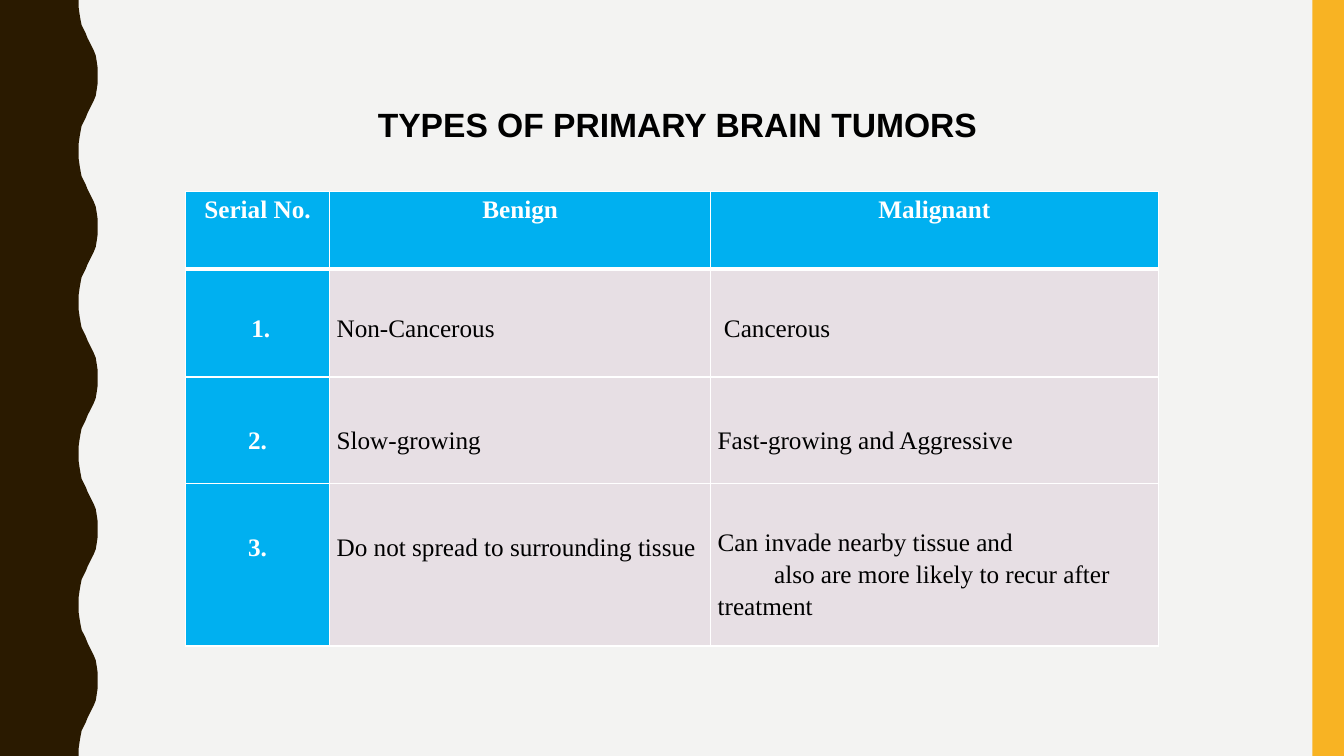
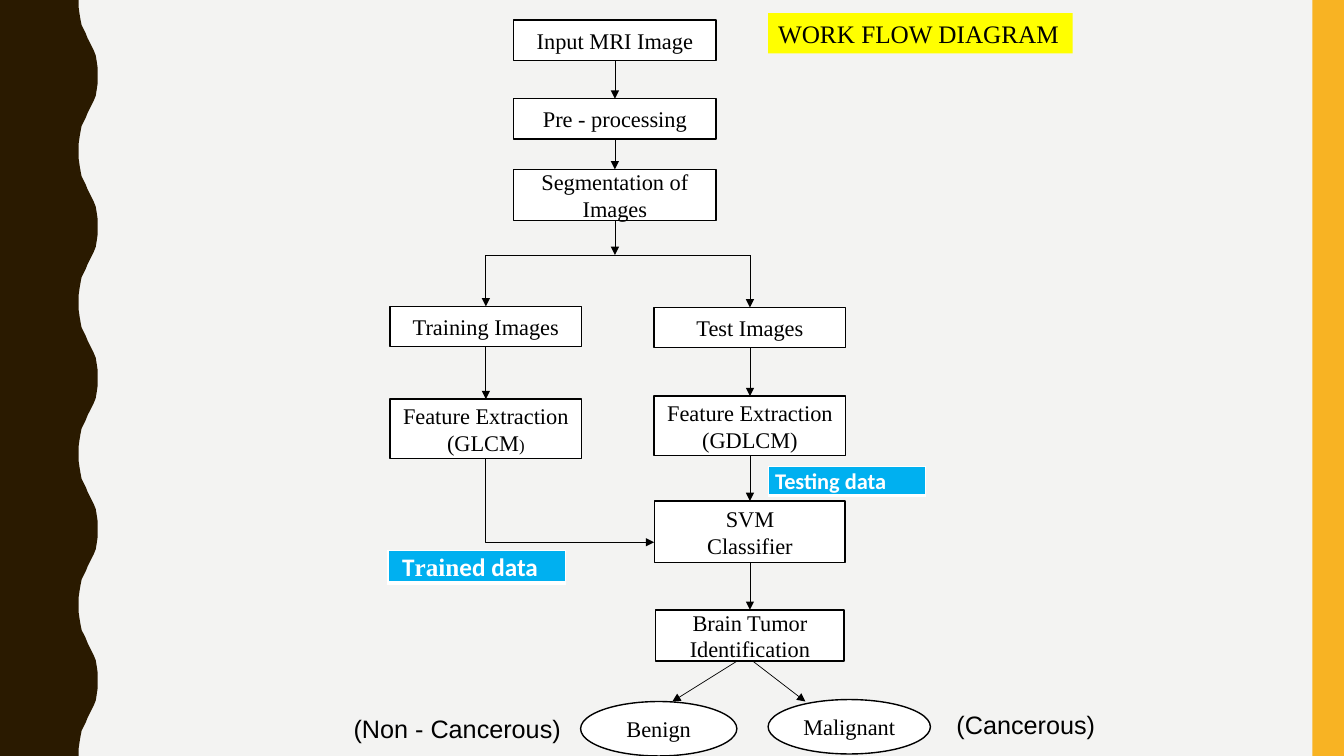
from dataclasses import dataclass

from lxml import etree
from pptx import Presentation
from pptx import util as u
from pptx.dml.color import RGBColor
from pptx.enum import shapes, text
from pptx.oxml.ns import qn


@dataclass(frozen=True)
class Theme:
    paper: str = "F3F3F2"
    wave: str = "2A1A00"
    band: str = "F8B323"
    accent: str = "00B0F0"
    pale: str = "E7DFE4"
    marker: str = "FFFF00"
    white: str = "FFFFFF"
    black: str = "000000"
    serif: str = "Times New Roman"
    sans: str = "Arial"
    tag: str = "Calibri"
    title: int = 24
    body: int = 18
    node: int = 16
    small: int = 12


THEME = Theme()
COLUMNS, ROWS = 133.33, 75
CELL = u.Inches(0.1)
LEFT, CENTER = text.PP_ALIGN.LEFT, text.PP_ALIGN.CENTER
MIDDLE, TOP = text.MSO_ANCHOR.MIDDLE, text.MSO_ANCHOR.TOP
HALF_WAVE = [(7.8, 0), (7.8, 0.7), (7.9, 1.4), (8, 2), (8.1, 2.5), (8.3, 2.9),
             (8.5, 3.3), (8.7, 3.8), (8.9, 4.2), (9.1, 4.6), (9.3, 5),
             (9.5, 5.5), (9.6, 6.1), (9.7, 6.8), (9.7, 7.5)]
WAVE_PERIOD = 15


def grid(*lengths):
    return [u.Emu(round(length * CELL)) for length in lengths]


def color(value):
    return RGBColor.from_string(value)


def write(frame, paragraphs, font=THEME.serif, size=THEME.body, ink=THEME.black,
          bold=False, align=LEFT, spacing=None, after=0, indent=0):
    for index, content in enumerate(paragraphs):
        paragraph = frame.paragraphs[0] if index == 0 else frame.add_paragraph()
        paragraph.alignment = align
        paragraph.line_spacing = spacing
        last = index == len(paragraphs) - 1
        paragraph.space_after = u.Pt(after if last else 0)
        if index and indent:
            paragraph._p.get_or_add_pPr().set("indent", str(grid(indent)[0]))
        runs = [(content, {})] if isinstance(content, str) else content
        for words, change in runs:
            run = paragraph.add_run()
            run.text = words
            run.font.name = change.get("font", font)
            run.font.size = u.Pt(change.get("size", size))
            run.font.bold = bold
            run.font.color.rgb = color(ink)


class Deck:
    def __init__(self, theme):
        self.theme = theme
        self.show = Presentation()
        self.show.slide_width, self.show.slide_height = grid(COLUMNS, ROWS)
        self.slide = None

    def start_slide(self):
        self.slide = self.show.slides.add_slide(self.show.slide_layouts[6])
        backdrop = self.slide.background.fill
        backdrop.solid()
        backdrop.fore_color.rgb = color(self.theme.paper)
        self.wave()
        self.shape(130.2, 0, COLUMNS - 130.2, ROWS, self.theme.band)

    def paint(self, shape, fill, line=None):
        shape.shadow.inherit = False
        shape.fill.solid()
        shape.fill.fore_color.rgb = color(fill)
        if line:
            shape.line.color.rgb = color(line)
            shape.line.width = u.Pt(1)
        else:
            shape.line.fill.background()
        return shape

    def wave(self):
        mirrored = [(x, WAVE_PERIOD - y) for x, y in HALF_WAVE[-2::-1]]
        edge = [grid(x, y + turn * WAVE_PERIOD)
                for turn in range(ROWS // WAVE_PERIOD)
                for x, y in HALF_WAVE + mirrored]
        outline = self.slide.shapes.build_freeform(0, 0, scale=1.0)
        outline.add_line_segments(edge + [grid(0, ROWS)], close=True)
        self.paint(outline.convert_to_shape(), self.theme.wave)

    def shape(self, left, top, width, height, fill, line=None,
              kind=shapes.MSO_SHAPE.RECTANGLE):
        figure = self.slide.shapes.add_shape(kind, *grid(left, top, width, height))
        return self.paint(figure, fill, line)

    def node(self, center, top, width, height, *lines,
             kind=shapes.MSO_SHAPE.RECTANGLE):
        figure = self.shape(center - width / 2, top, width, height,
                            self.theme.white, self.theme.black, kind)
        figure.text_frame.vertical_anchor = MIDDLE
        figure.text_frame.word_wrap = True
        write(figure.text_frame, lines, size=self.theme.node, align=CENTER)
        return figure

    def label(self, left, top, width, height, words, fill=None, anchor=TOP, **style):
        box = self.slide.shapes.add_textbox(*grid(left, top, width, height))
        if fill:
            box.fill.solid()
            box.fill.fore_color.rgb = color(fill)
        box.text_frame.word_wrap = False
        box.text_frame.vertical_anchor = anchor
        write(box.text_frame, [words], **style)

    def link(self, start, end, head=True, bend=None):
        joined = [not isinstance(tip[0], (int, float)) for tip in (start, end)]
        points = [(0, 0) if join else tip for join, tip in zip(joined, (start, end))]
        kind = shapes.MSO_CONNECTOR.STRAIGHT if bend is None else shapes.MSO_CONNECTOR.ELBOW
        line = self.slide.shapes.add_connector(kind, *grid(*points[0], *points[1]))
        if joined[0]:
            line.begin_connect(*start)
        if joined[1]:
            line.end_connect(*end)
        line.line.color.rgb = color(self.theme.black)
        line.line.width = u.Pt(0.5)
        properties = line._element.spPr
        if head:
            etree.SubElement(properties.find(qn("a:ln")), qn("a:tailEnd"), type="triangle")
        if bend is not None:
            geometry = properties.find(qn("a:prstGeom"))
            guides = geometry.find(qn("a:avLst"))
            if guides is None:
                guides = etree.SubElement(geometry, qn("a:avLst"))
            etree.SubElement(guides, qn("a:gd"), name="adj1",
                             fmla=f"val {round(bend * 100000)}")
        etree.SubElement(properties, qn("a:effectLst"))

    def table(self, left, top, widths, heights):
        frame = self.slide.shapes.add_table(
            len(heights), len(widths),
            *grid(left, top, sum(widths), sum(heights)))
        table = frame.table
        table.first_row = table.horz_banding = False
        for column, width in zip(table.columns, grid(*widths)):
            column.width = width
        for row, height in zip(table.rows, grid(*heights)):
            row.height = height
        return table

    def cell(self, cell, paragraphs, fill, inset=0.7, lead=0, base=1, **style):
        cell.margin_left, cell.margin_right = grid(inset, 0.7)
        cell.margin_top, cell.margin_bottom = grid(lead, 0)
        properties = cell._tc.get_or_add_tcPr()
        for side, width in zip("LRTB", (1, 1, 1, base)):
            border = etree.SubElement(properties, qn(f"a:ln{side}"), w=str(u.Pt(width)))
            paint = etree.SubElement(border, qn("a:solidFill"))
            etree.SubElement(paint, qn("a:srgbClr"), val=self.theme.white)
        cell.fill.solid()
        cell.fill.fore_color.rgb = color(fill)
        write(cell.text_frame, paragraphs, **style)

    def tag(self, left, top, width, height, words, inset, size):
        table = self.table(left, top, [width], [height])
        self.cell(table.cell(0, 0), [words], self.theme.accent, inset=inset, base=3,
                  font=self.theme.tag, size=size, ink=self.theme.white,
                  bold=True, spacing=1.07)


def tumor_types(deck):
    theme = deck.theme
    deck.start_slide()
    deck.label(36.5, 10, 61.5, 4.6, "TYPES OF PRIMARY BRAIN TUMORS", anchor=MIDDLE,
               font=theme.sans, size=theme.title, bold=True)
    invasion = ["Can invade nearby tissue and",
                "also are more likely to recur after treatment"]
    comparison = [
        (7.7, (0, 0, 0), (["Serial No."], ["Benign"], ["Malignant"])),
        (10.7, (4.1, 4.1, 4.1), ([" 1."], ["Non-Cancerous"], [" Cancerous"])),
        (10.6, (4.6, 4.6, 4.6), (["2."], ["Slow-growing"], ["Fast-growing and Aggressive"])),
        (16.1, (4.6, 4.6, 4.1), (["3."], ["Do not spread to surrounding tissue"], invasion)),
    ]
    table = deck.table(18.4, 19, [14.3, 37.8, 44.4], [row[0] for row in comparison])
    for row, (_, leads, entries) in enumerate(comparison):
        for column, (lead, entry) in enumerate(zip(leads, entries)):
            heading = row == 0 or column == 0
            deck.cell(table.cell(row, column), entry,
                      theme.accent if heading else theme.pale,
                      lead=lead, base=1 if row else 3, bold=heading,
                      ink=theme.white if heading else theme.black,
                      align=CENTER if heading else LEFT,
                      spacing=1.15, after=10, indent=5.6)


def work_flow(deck):
    theme = deck.theme
    deck.start_slide()
    trunk, training_lane, test_lane, fork = 61, 48.2, 74.4, 25.3
    oval = shapes.MSO_SHAPE.OVAL

    mri_input = deck.node(trunk, 2, 20.1, 4, "Input MRI Image")
    preparation = deck.node(trunk, 9.8, 20.1, 4, "Pre - processing")
    segmentation = deck.node(trunk, 16.8, 20.1, 5.1, "Segmentation of Images")
    training = deck.node(training_lane, 30.4, 19, 4, "Training Images")
    test = deck.node(test_lane, 30.5, 19, 4, "Test Images")
    training_features = deck.node(training_lane, 39.6, 19, 5.9, "Feature Extraction",
                                  [("(GLCM", {}), (")", {"size": theme.small})])
    test_features = deck.node(test_lane, 39.3, 19, 5.9, "Feature Extraction", "(GDLCM)")
    classifier = deck.node(test_lane, 49.7, 18.9, 6.1, "SVM", "Classifier")
    identification = deck.node(test_lane, 60.5, 18.7, 5.1, "Brain Tumor Identification")
    deck.node(65.35, 69.6, 15.5, 5.4, "Benign", kind=oval)
    deck.node(84.25, 69.4, 16.1, 5.4, "Malignant", kind=oval)

    for chain in ((mri_input, preparation, segmentation),
                  (training, training_features),
                  (test, test_features, classifier, identification)):
        for above, below in zip(chain, chain[1:]):
            deck.link((above, 2), (below, 0))
    deck.link((segmentation, 2), (trunk, fork))
    deck.link((training_lane, fork), (test_lane, fork), head=False)
    for lane, branch in ((training_lane, training), (test_lane, test)):
        deck.link((lane, fork), (branch, 0))
    deck.link((47.5, 45.5), (64.9, 53.8), bend=0.04)
    deck.link((73.1, 65.6), (66.7, 69.6))
    deck.link((74.7, 65.6), (79.9, 69.6))

    deck.tag(76.2, 46.3, 15.6, 2.6, "Testing data", 0.7, theme.node)
    deck.tag(38.5, 54.6, 17.6, 2.9,
             [("T", {}), ("rain", {"font": theme.serif}), ("ed data", {})],
             1.4, theme.body)
    deck.label(76.2, 1.3, 30.2, 4, "WORK FLOW DIAGRAM", fill=theme.marker)
    deck.label(93.9, 69.9, 15.9, 4, "(Cancerous)", font=theme.sans)
    deck.label(34.1, 70.3, 23.6, 4, "(Non - Cancerous)", font=theme.sans)


def main():
    deck = Deck(THEME)
    tumor_types(deck)
    work_flow(deck)
    deck.show.save("out.pptx")


if __name__ == "__main__":
    main()
